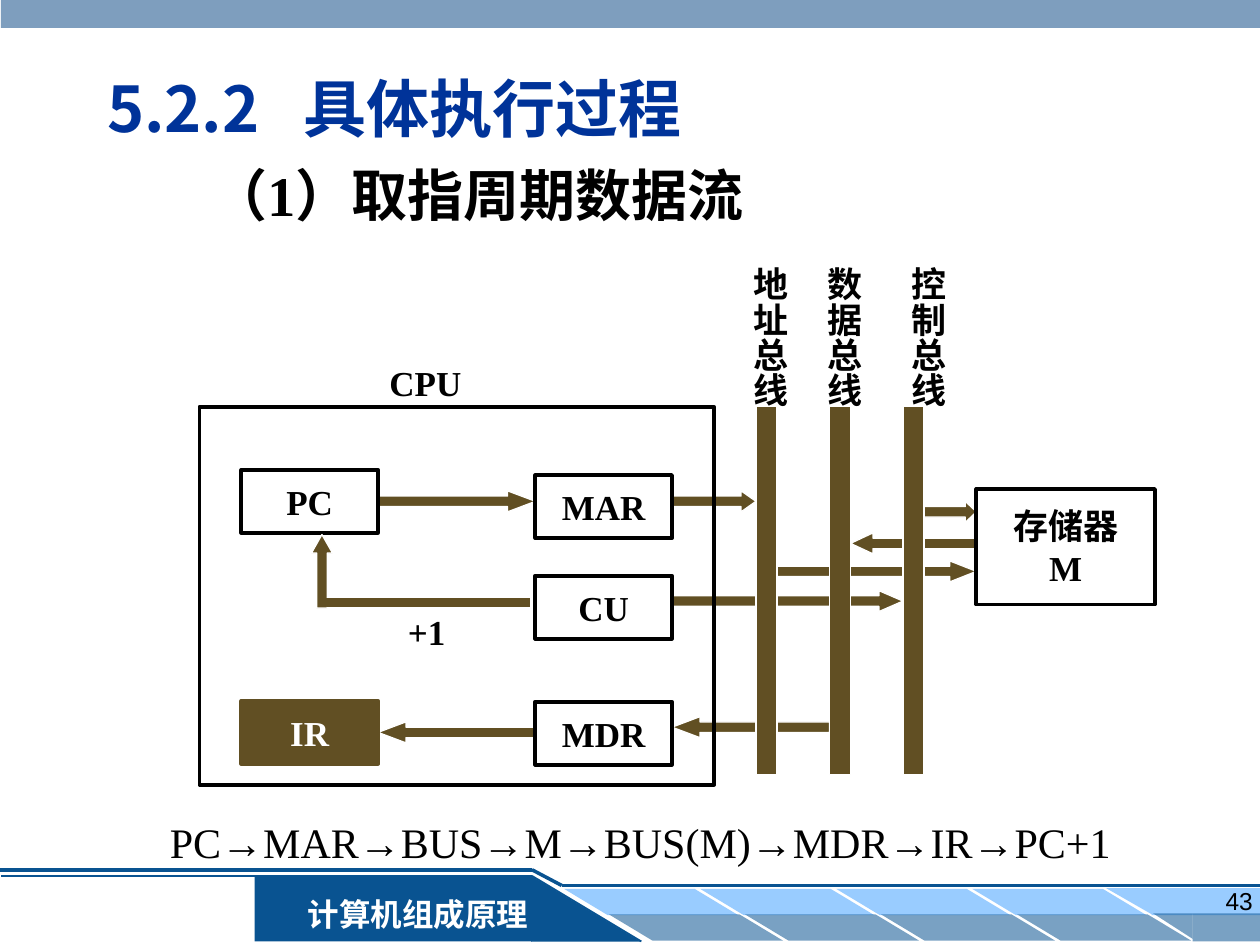
from pptx import Presentation
from pptx.dml.color import RGBColor
from pptx.enum.shapes import MSO_CONNECTOR, MSO_SHAPE
from pptx.enum.text import MSO_ANCHOR, MSO_AUTO_SIZE, PP_ALIGN
from pptx.oxml.ns import qn
from pptx.util import Pt
from lxml.etree import SubElement


class Theme:
    navy, blue, sky, steel = "003399", "095391", "99CCFF", "336699"
    brown, black, white = "614F23", "000000", "FFFFFF"
    serif, sans, plain = "Times New Roman", "Noto Sans CJK SC", "Arial"
    title, head, flow, label, foot, page = 36, 32, 24, 20, 18, 14


def write(shape, text, color=Theme.black, size=Theme.label, name=Theme.serif,
          bold=True, align=PP_ALIGN.LEFT, anchor=MSO_ANCHOR.TOP, wrap=True):
    frame = shape.text_frame
    frame.text = text
    body = {"word_wrap": wrap, "auto_size": MSO_AUTO_SIZE.NONE,
            "vertical_anchor": anchor, "margin_left": Pt(7.2), "margin_right": Pt(7.2),
            "margin_top": Pt(3.6), "margin_bottom": Pt(3.6)}
    for key, value in body.items():
        setattr(frame, key, value)
    for para in frame.paragraphs:
        para.alignment = align
        para.space_before = Pt(0)
        for run in para.runs:
            for key, value in {"size": Pt(size), "name": name, "bold": bold}.items():
                setattr(run.font, key, value)
            run.font.color.rgb = RGBColor.from_string(color)
            SubElement(run.font._element, qn("a:ea"), typeface=Theme.sans)


def draw(kind, box, fill=None, line=None, width=0.75, alpha=None, flip="", adjust=()):
    shape = slide.shapes.add_shape(kind, *map(Pt, box))
    shape.shadow.inherit = False
    if fill:
        shape.fill.solid()
        shape.fill.fore_color.rgb = RGBColor.from_string(fill)
    else:
        shape.fill.background()
    if alpha:
        tint = shape.fill._xPr.find(qn("a:solidFill"))[0]
        SubElement(tint, qn("a:alpha"), val=str(alpha * 1000))
    if line:
        shape.line.color.rgb = RGBColor.from_string(line)
        shape.line.width = Pt(width)
    else:
        shape.line.fill.background()
    for axis in flip:
        shape._element.spPr.xfrm.set("flip" + axis, "1")
    for index, value in enumerate(adjust):
        shape.adjustments[index] = value
    return shape


deck = Presentation()
deck.slide_width, deck.slide_height = Pt(720), Pt(540)
slide = deck.slides.add_slide(deck.slide_layouts[1])
rect, arrow = MSO_SHAPE.RECTANGLE, MSO_SHAPE.RIGHT_ARROW

draw(rect, (145.5, 500.5, 158.5, 37.5), Theme.blue)
for step in range(4):
    for left, top, fill, alpha in ((322.5, 508, Theme.sky, None),
                                   (348, 522.5, Theme.blue, 54)):
        draw(MSO_SHAPE.PARALLELOGRAM, (left + 77.75 * step, top, 99.5, 15), fill,
             alpha=alpha, flip="H", adjust=[1.66])
for kind, box, fill, alpha, flip in (
        (rect, (658, 507.5, 62, 15.5), Theme.sky, None, ""),
        (MSO_SHAPE.RIGHT_TRIANGLE, (632, 507.5, 27, 15.5), Theme.sky, None, "HV"),
        (rect, (681.5, 522, 38.5, 16), Theme.blue, 54, ""),
        (MSO_SHAPE.RIGHT_TRIANGLE, (659, 522, 22.5, 14.5), Theme.blue, 54, "HV"),
        (MSO_SHAPE.RIGHT_TRIANGLE, (303.5, 500.5, 62.5, 37.5), Theme.blue, None, ""),
        (rect, (0.5, -2, 720, 18), Theme.steel, 63, "")):
    draw(kind, box, fill, alpha=alpha, flip=flip)
for ends, width in (((366.5, 538, 304, 500.5), 1), ((304, 500.5, 0.5, 500.5), 1.5),
                    ((-0.5, 497, 304, 497), 2), ((321, 506, 720.5, 506), 2),
                    ((304, 497, 321, 506), 2)):
    rule = slide.shapes.add_connector(MSO_CONNECTOR.STRAIGHT, *map(Pt, ends))
    rule.line.color.rgb = RGBColor.from_string(Theme.blue)
    rule.line.width = Pt(width)
    SubElement(rule._element.spPr, qn("a:effectLst"))
course = draw(rect, (165, 507.5, 147.5, 29), Theme.blue)
write(course, "计算机组成原理", Theme.white, Theme.foot, align=PP_ALIGN.CENTER,
      anchor=MSO_ANCHOR.MIDDLE)

title, head = slide.shapes.title, slide.placeholders[1]
for holder, box in ((title, (54, 36, 450, 50.5)), (head, (113.5, 88, 450, 46))):
    for key, value in zip(("left", "top", "width", "height"), box):
        setattr(holder, key, Pt(value))
write(title, "5.2.2\t具体执行过程", Theme.navy, Theme.title, Theme.sans)
tabs = SubElement(title.text_frame.paragraphs[0]._p.get_or_add_pPr(), qn("a:tabLst"))
SubElement(tabs, qn("a:tab"), pos=str(Pt(112)), algn="l")
write(head, "（1）取指周期数据流", size=Theme.head)
props = head.text_frame.paragraphs[0]._p.get_or_add_pPr()
props.set("marL", "0")
props.set("indent", "0")
SubElement(props, qn("a:buNone"))

for left, top, width, tip, turn in (
        (216, 412.5, 90, 1.33, 180), (216, 280.5, 90, 1.33, 0),
        (384, 280.5, 48, 0.71, 0), (384, 409.5, 90, 1.33, 180),
        (384, 337.5, 132, 1.15, 0), (444, 320.5, 114, 1.27, 0),
        (486, 304.5, 72, 1.07, 180), (522, 286.5, 36, 0.53, 0)):
    link = draw(arrow, (left, top, width, 12), Theme.brown, Theme.white, adjust=(0.5, tip))
    link.rotation = turn

draw(rect, (114, 232.5, 294, 216), line=Theme.black, width=2.25)
for step in range(3):
    draw(rect, (432 + 42 * step, 232.5, 12, 210), Theme.brown, Theme.white)
for text, left, top, width, height, fill, line, ink in (
        ("MDR", 306, 401, 78, 36, None, Theme.black, Theme.black),
        ("CU", 306, 329, 78, 36, None, Theme.black, Theme.black),
        ("MAR", 306, 271.5, 78, 36, None, Theme.black, Theme.black),
        ("PC", 138, 268.5, 78, 36, None, Theme.black, Theme.black),
        ("IR", 138, 400.5, 78, 36, Theme.brown, Theme.brown, Theme.white),
        ("存储器\nM", 558, 279.5, 102, 66, None, Theme.black, Theme.black)):
    unit = draw(rect, (left, top, width, height), fill, line, 2.25)
    write(unit, text, ink, align=PP_ALIGN.CENTER, anchor=MSO_ANCHOR.MIDDLE, wrap=False)

draw(rect, (183.5, 341.5, 120, 6), Theme.brown, Theme.white)
draw(MSO_SHAPE.UP_ARROW, (178, 305.5, 12, 42), Theme.brown, Theme.white, adjust=(0.5, 0.88))
draw(rect, (186.5, 342, 3, 4.5), Theme.brown, Theme.brown)

for text, box, style in (
        ("CPU", (215.5, 203, 55.5, 31.5), {"wrap": False}),
        ("+1", (226, 345.5, 126, 31.5), {}),
        ("PC→MAR→BUS→M→BUS(M)→MDR→IR→PC+1", (90, 463, 578, 36),
         {"size": Theme.flow, "bold": False}),
        ("43", (555, 502.5, 168, 37.5), {"size": Theme.page, "name": Theme.plain,
                                         "bold": False, "align": PP_ALIGN.RIGHT})):
    write(slide.shapes.add_textbox(*map(Pt, box)), text, **style)

for text, left in (("地址总线", 417.5), ("数据总线", 460), ("控制总线", 507.5)):
    label = slide.shapes.add_textbox(Pt(left), Pt(145.5), Pt(38), Pt(88))
    write(label, text, wrap=False)
    frame = label.text_frame
    for key, value in {"margin_left": 3.6, "margin_right": 3.6,
                       "margin_top": 7.2, "margin_bottom": 7.2}.items():
        setattr(frame, key, Pt(value))
    frame._txBody.bodyPr.set("vert", "eaVert")

deck.save("out.pptx")
